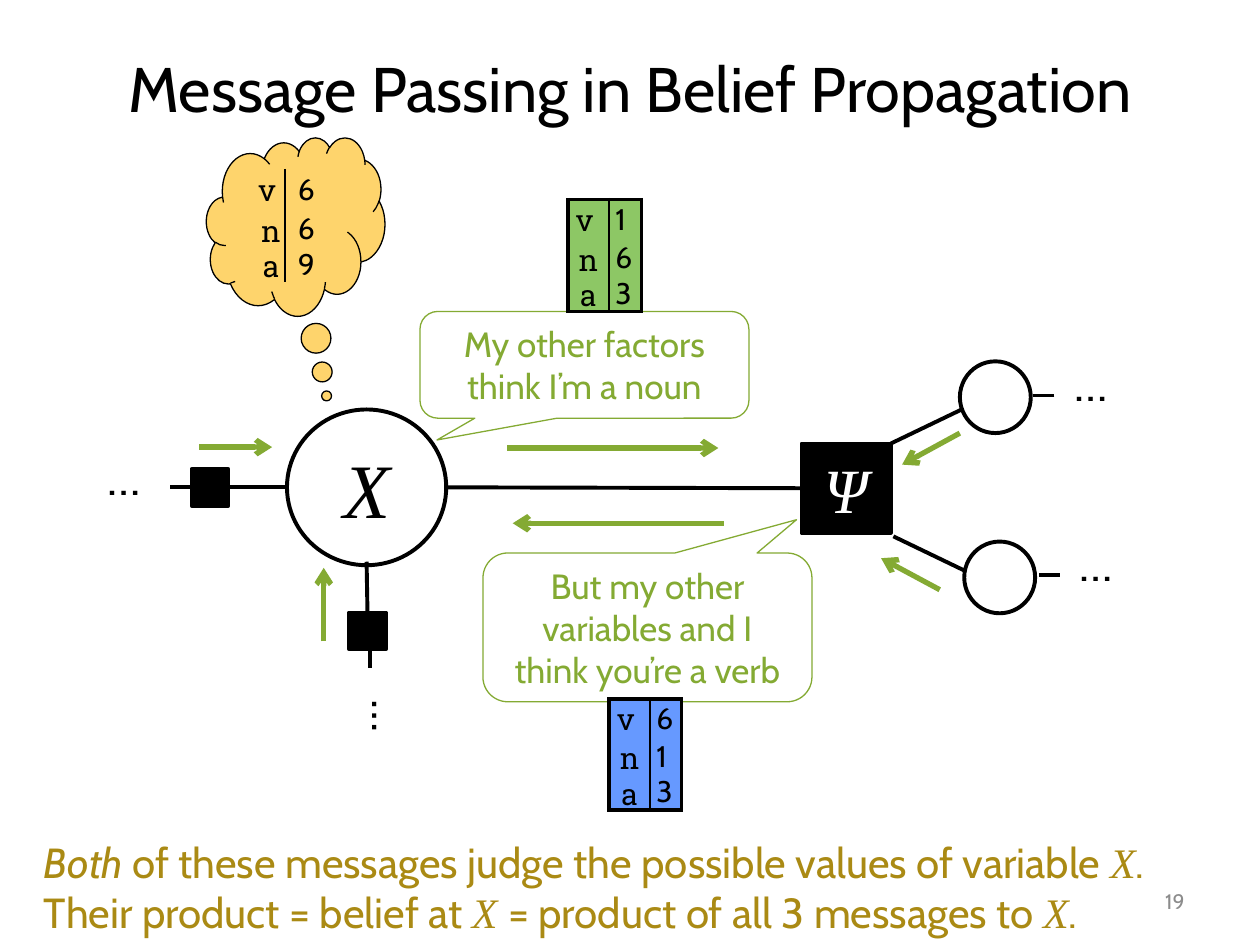
from lxml.etree import SubElement
from pptx import Presentation
from pptx.dml.color import RGBColor
from pptx.enum.shapes import MSO_CONNECTOR, MSO_SHAPE
from pptx.enum.text import MSO_ANCHOR, MSO_AUTO_SIZE, PP_ALIGN
from pptx.oxml.ns import qn
from pptx.util import Pt

SANS, SLAB, SERIF = "Cabin", "Roboto Slab", "Times New Roman"
BLACK, WHITE, GREEN, GOLD, GREY = "000000", "FFFFFF", "84AA33", "AA8A14", "8C8C8C"
AMBER = "FED46C"

TITLE = "Message Passing in Belief Propagation"
NODES = {
    "variable": (MSO_SHAPE.OVAL, 164, 234, 91, 89, WHITE, "X", 44),
    "factor": (MSO_SHAPE.RECTANGLE, 458, 253.5, 51, 51, BLACK, "Ψ", 36),
    "upper": (MSO_SHAPE.OVAL, 548.5, 206.5, 40.5, 41, WHITE, "", 0),
    "lower": (MSO_SHAPE.OVAL, 551, 309.5, 40.5, 41, WHITE, "", 0),
    "left": (MSO_SHAPE.RECTANGLE, 109.5, 268, 21, 21, BLACK, "", 0),
    "below": (MSO_SHAPE.RECTANGLE, 199.5, 350, 21, 21, BLACK, "", 0),
}
JOINED_EDGES = [
    ("factor", 1, 256, 278.5),
    ("left", 3, 163.5, 278.5),
    ("left", 1, 97, 278.5),
    ("below", 0, 209.5, 321),
]
LOOSE_EDGES = [
    (211.5, 381.5, 211.5, 369.5),
    (509, 253.5, 549.5, 234),
    (510.5, 306.5, 551, 326),
    (602.5, 226, 590.5, 226),
    (605.5, 328.5, 593.5, 328.5),
]
ARROWS = [
    (290, 256, 410.5, 256),
    (413.5, 299, 293, 299),
    (114, 255.5, 155.5, 255.5),
    (185, 366.5, 185, 324.5),
    (548.5, 247.5, 515.5, 265.5),
    (537, 337, 503.5, 319),
]
DOTS = [
    (54.5, 251.5, 42.5, 41, None),
    (607, 198, 42.5, 41, None),
    (610, 301, 42.5, 41, None),
    (196.5, 392.5, 48, 40.5, "eaVert"),
]
CALLOUTS = [
    (240, 178, 188, 61, (-0.448, 0.704, 0.167), "My other factors think I’m a noun"),
    (276, 316, 188, 85, (0.453, -0.724, 0.167),
     "But my other variables and I think you’re a verb"),
]
TAGS = ["v ", "n", "a"]
TABLES = [
    (324.5, 114, (23.5, 18.5), (23, 17, 20), "8DC765", "163", 2.25, (0, 3.6)),
    (348, 399.5, (23.5, 18), (22.5, 17, 20), "6699FF", "613", 2.25, (0, 3.6)),
    (139.5, 96.5, (23.5, 30.5), (24, 17, 17), AMBER, "669", None, (7.2, 7.2)),
]
SUMMARY = [
    [("Both", SANS, True),
     (" of these messages judge the possible values of variable ", SANS, False),
     ("X", SERIF, True), (".", SANS, False)],
    [("Their product = belief at ", SANS, False), ("X ", SERIF, True),
     ("= product of all 3 messages to ", SANS, False),
     ("X", SERIF, True), (".", SANS, False)],
]


def rgb(color):
    return RGBColor.from_string(color)


def style(r, size, color, font=SANS, italic=False):
    r.font.size, r.font.name, r.font.italic = Pt(size), font, italic
    r.font.color.rgb = rgb(color)


def write(tf, text, size, color, font=SANS, italic=False, align=PP_ALIGN.LEFT):
    tf.text = text
    p = tf.paragraphs[0]
    p.alignment = align
    style(p.runs[0], size, color, font, italic)


def add_text(x, y, w, h, wrap=False):
    sp = s.shapes.add_textbox(*map(Pt, (x, y, w, h)))
    sp.text_frame.word_wrap = wrap
    return sp.text_frame


def add_shape(kind, x, y, w, h, fill, line, width):
    sp = s.shapes.add_shape(kind, *map(Pt, (x, y, w, h)))
    sp.shadow.inherit = False
    if fill:
        sp.fill.solid()
        sp.fill.fore_color.rgb = rgb(fill)
    else:
        sp.fill.background()
    sp.line.color.rgb, sp.line.width = rgb(line), Pt(width)
    return sp


def add_line(x1, y1, x2, y2, color=BLACK, width=2.25, arrow=False):
    c = s.shapes.add_connector(MSO_CONNECTOR.STRAIGHT, *map(Pt, (x1, y1, x2, y2)))
    c.line.color.rgb, c.line.width = rgb(color), Pt(width)
    if arrow:
        SubElement(c.line._get_or_add_ln(), qn("a:tailEnd"), type="arrow")
    SubElement(c._element.spPr, qn("a:effectLst"))
    return c


def set_border(cell, side, width):
    tcPr = cell._tc.get_or_add_tcPr()
    ln = SubElement(tcPr, qn(f"a:ln{side}"), w=str(Pt(width or 0)))
    if width:
        fill = SubElement(ln, qn("a:solidFill"))
        SubElement(fill, qn("a:srgbClr"), val=BLACK)
    else:
        SubElement(ln, qn("a:noFill"))


def add_message(x, y, cols, rows, fill, values, outer, margins):
    t = s.shapes.add_table(3, 2, *map(Pt, (x, y, sum(cols), sum(rows)))).table
    t.first_row = t.horz_banding = False
    for i, w in enumerate(cols):
        t.columns[i].width = Pt(w)
    for i, row in enumerate(zip(TAGS, values)):
        t.rows[i].height = Pt(rows[i])
        for j, text in enumerate(row):
            cell = t.cell(i, j)
            cell.margin_left = Pt(margins[j])
            cell.margin_right = cell.margin_top = cell.margin_bottom = 0
            cell.vertical_anchor = MSO_ANCHOR.MIDDLE
            write(cell.text_frame, text, 17, BLACK, (SLAB, SANS)[j],
                  align=(PP_ALIGN.CENTER, PP_ALIGN.LEFT)[j])
            set_border(cell, "L", 1 if j else outer)
            set_border(cell, "R", outer if j else 1)
            set_border(cell, "T", outer if i == 0 else None)
            set_border(cell, "B", outer if i == 2 else None)
            cell.fill.solid()
            cell.fill.fore_color.rgb = rgb(fill)


prs = Presentation()
prs.slide_width, prs.slide_height = Pt(720), Pt(540)
s = prs.slides.add_slide(prs.slide_layouts[5])

title = s.shapes.title
title.left, title.top, title.width, title.height = map(Pt, (36, 21.5, 648, 57))
title.text_frame.vertical_anchor = MSO_ANCHOR.MIDDLE
write(title.text_frame, TITLE, 36, BLACK, align=PP_ALIGN.CENTER)

number = add_text(516, 500.5, 168, 29, wrap=True)
number.vertical_anchor = MSO_ANCHOR.MIDDLE
write(number, "19", 12, GREY, align=PP_ALIGN.RIGHT)

nodes = {}
for name, (kind, x, y, w, h, fill, text, size) in NODES.items():
    nodes[name] = sp = add_shape(kind, x, y, w, h, fill, BLACK, 2.25)
    if text:
        tf = sp.text_frame
        tf.margin_left = tf.margin_right = tf.margin_top = tf.margin_bottom = 0
        tf.word_wrap = False
        write(tf, text, size, WHITE if fill == BLACK else BLACK, SERIF, True,
              PP_ALIGN.CENTER)

for name, side, x, y in JOINED_EDGES:
    add_line(x, y, x, y).begin_connect(nodes[name], side)
for edge in LOOSE_EDGES:
    add_line(*edge)
for arrow in ARROWS:
    add_line(*arrow, GREEN, 3, arrow=True)

for x, y, w, h, vert in DOTS:
    tf = add_text(x, y, w, h, wrap=bool(vert))
    write(tf, "…", 28, BLACK)
    if vert:
        tf._txBody.bodyPr.set("vert", vert)

for x, y, w, h, adjust, text in CALLOUTS:
    sp = add_shape(MSO_SHAPE.ROUNDED_RECTANGULAR_CALLOUT, x, y, w, h, None, GREEN, 0.75)
    for i, value in enumerate(adjust):
        sp.adjustments[i] = value
    sp.text_frame.word_wrap = True
    write(sp.text_frame, text, 20, GREEN, align=PP_ALIGN.CENTER)

cloud = add_shape(MSO_SHAPE.CLOUD_CALLOUT, 118, 78.5, 102, 102, AMBER, BLACK, 0.75)
cloud.adjustments[0], cloud.adjustments[1] = 0.173, 0.949
for table in TABLES:
    add_message(*table)

tf = add_text(18, 474.5, 660, 65.5)
tf.auto_size = MSO_AUTO_SIZE.SHAPE_TO_FIT_TEXT
for i, line in enumerate(SUMMARY):
    p = tf.add_paragraph() if i else tf.paragraphs[0]
    for text, font, italic in line:
        r = p.add_run()
        r.text = text
        style(r, 24, GOLD, font, italic)

prs.save("out.pptx")
